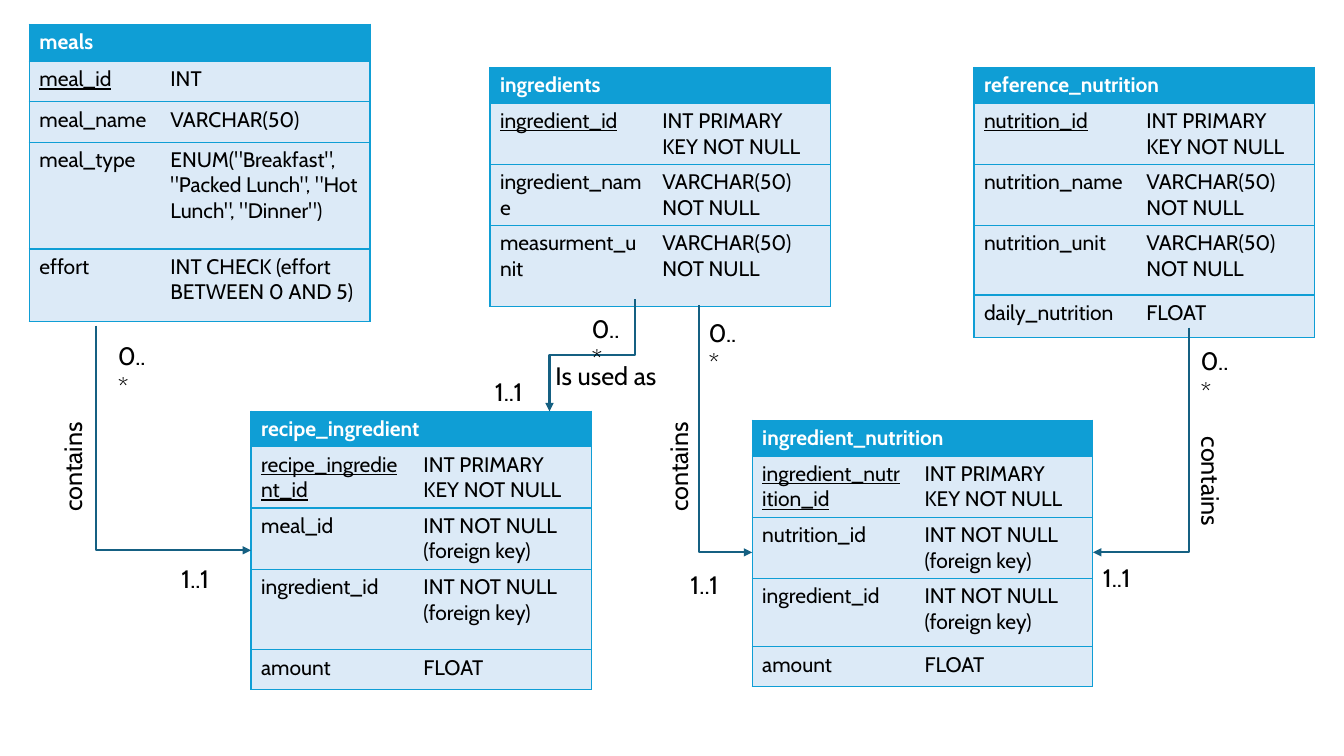
from lxml import etree
from pptx import Presentation
from pptx import util as u
from pptx.dml import color
from pptx.enum import shapes, text
from pptx.oxml import ns

STEPS_PER_INCH = 10
FONT = "Cabin"
HEADER_BLUE = "0F9ED5"
ROW_BLUE = "DCEAF7"
ARROW_BLUE = "156082"
KEY = "INT PRIMARY KEY NOT NULL"
FOREIGN_KEY = "INT NOT NULL (foreign key)"
REQUIRED_TEXT = "VARCHAR(50) NOT NULL"
WIDE_NAMES = (16.1, 17.7)

ENTITIES = [
    ("meals", 2.9, 2.4, (13, 20.8), (3.7, 4, 4, 10.6, 7.2),
     [("meal_id", "INT"), ("meal_name", "VARCHAR(50)"),
      ("meal_type", 'ENUM("Breakfast", "Packed Lunch", "Hot Lunch", "Dinner")'),
      ("effort", "INT CHECK (effort BETWEEN 0 AND 5)")]),
    ("ingredients", 48.6, 6.7, WIDE_NAMES, (3.5, 6, 6, 8),
     [("ingredient_id", KEY), ("ingredient_name", REQUIRED_TEXT),
      ("measurment_unit", REQUIRED_TEXT)]),
    ("recipe_ingredient", 24.9, 40.8, WIDE_NAMES, (3.5, 6, 6, 8, 3.9),
     [("recipe_ingredient_id", KEY), ("meal_id", FOREIGN_KEY),
      ("ingredient_id", FOREIGN_KEY), ("amount", "FLOAT")]),
    ("reference_nutrition", 96.6, 6.7, WIDE_NAMES, (3.5, 6, 6, 6.9, 4.2),
     [("nutrition_id", KEY), ("nutrition_name", REQUIRED_TEXT),
      ("nutrition_unit", REQUIRED_TEXT), ("daily_nutrition", "FLOAT")]),
    ("ingredient_nutrition", 74.6, 41.7, WIDE_NAMES, (3.5, 6, 6, 6.8, 3.9),
     [("ingredient_nutrition_id", KEY), ("nutrition_id", FOREIGN_KEY),
      ("ingredient_id", FOREIGN_KEY), ("amount", "FLOAT")]),
]

RELATIONS = [
    ((9.5, 32.3), (24.9, 54.6), "bentConnector2"),
    ((63, 29.7), (54.5, 40.8), "bentConnector3"),
    ((117.9, 32.5), (108.4, 54.8), "bentConnector2"),
    ((69.3, 30.3), (74.6, 54.8), "bentConnector2"),
]

LABELS = [
    ("0..*", 5.7, 0, [(10.7, 33.3), (69.3, 31), (118.1, 33.8), (57.7, 30.6)]),
    ("1..1", 6.2, 0, [(108.4, 55.3), (67.5, 56), (17, 55.4), (48.1, 36.8)]),
    ("contains", 11.5, 270, [(1.4, 44), (61.5, 44)]),
    ("contains", 11.5, 90, [(114.4, 46.1)]),
    ("Is used as", 12.9, 0, [(54.1, 35.3)]),
]


def grid(steps):
    return u.Inches(steps / STEPS_PER_INCH)


def rgb(value):
    return color.RGBColor.from_string(value)


def write(frame, words, size, tint, bold=False, underline=False):
    run = frame.paragraphs[0].add_run()
    run.text = words
    run.font.name = FONT
    run.font.size = u.Pt(size)
    run.font.bold = bold
    run.font.underline = underline
    run.font.color.rgb = rgb(tint)


def border(cell, sides):
    properties = cell._tc.get_or_add_tcPr()
    for side in "LRTB":
        edge = etree.SubElement(properties, ns.qn(f"a:ln{side}"), w=str(u.Pt(1)))
        if side in sides:
            fill = etree.SubElement(edge, ns.qn("a:solidFill"))
            etree.SubElement(fill, ns.qn("a:srgbClr"), val=HEADER_BLUE)
        else:
            etree.SubElement(edge, ns.qn("a:noFill"))


def paint(cell, sides, tint):
    border(cell, sides)
    cell.fill.solid()
    cell.fill.fore_color.rgb = rgb(tint)


def add_entity(slide, title, left, top, columns, rows, fields):
    entity = slide.shapes.add_table(
        len(rows), len(columns), grid(left), grid(top),
        grid(sum(columns)), grid(sum(rows))).table
    entity.first_row = entity.horz_banding = False
    for column, width in zip(entity.columns, columns):
        column.width = grid(width)
    for row, height in zip(entity.rows, rows):
        row.height = grid(height)
    header = entity.cell(0, 0)
    header.merge(entity.cell(0, 1))
    write(header.text_frame, title, 15, "FFFFFF", bold=True)
    for column in range(2):
        paint(entity.cell(0, column), "LRTB", HEADER_BLUE)
    for row, field in enumerate(fields, 1):
        for column, words in enumerate(field):
            cell = entity.cell(row, column)
            paint(cell, ("LTB", "RTB")[column], ROW_BLUE)
            write(cell.text_frame, words, 15, "000000",
                  underline=(row == 1 and column == 0))


def add_relation(slide, start, end, bend):
    center_x, center_y = ((a + b) / 2 for a, b in zip(start, end))
    half_width = abs(end[1] - start[1]) / 2
    half_height = abs(end[0] - start[0]) / 2
    rightward = end[0] > start[0]
    reach = half_width if rightward else -half_width
    arrow = slide.shapes.add_connector(
        shapes.MSO_CONNECTOR.ELBOW,
        grid(center_x + reach), grid(center_y - half_height),
        grid(center_x - reach), grid(center_y + half_height))
    properties = arrow._element.spPr
    properties.find(ns.qn("a:xfrm")).set("rot", str((270 if rightward else 90) * 60000))
    properties.find(ns.qn("a:prstGeom")).set("prst", bend)
    arrow.line.color.rgb = rgb(ARROW_BLUE)
    arrow.line.width = u.Pt(1.5)
    etree.SubElement(arrow.line._get_or_add_ln(), ns.qn("a:tailEnd"), type="triangle")
    etree.SubElement(properties, ns.qn("a:effectLst"))


def add_label(slide, words, left, top, width, rotation):
    label = slide.shapes.add_textbox(grid(left), grid(top), grid(width), grid(4))
    label.rotation = rotation
    label.text_frame.word_wrap = True
    label.text_frame.auto_size = text.MSO_AUTO_SIZE.SHAPE_TO_FIT_TEXT
    write(label.text_frame, words, 18, "000000")


def main():
    deck = Presentation()
    deck.slide_width, deck.slide_height = u.Inches(13.33), u.Inches(7.5)
    slide = deck.slides.add_slide(deck.slide_layouts[6])
    for entity in ENTITIES:
        add_entity(slide, *entity)
    for relation in RELATIONS:
        add_relation(slide, *relation)
    for words, width, rotation, places in LABELS:
        for left, top in places:
            add_label(slide, words, left, top, width, rotation)
    deck.save("out.pptx")


if __name__ == "__main__":
    main()
